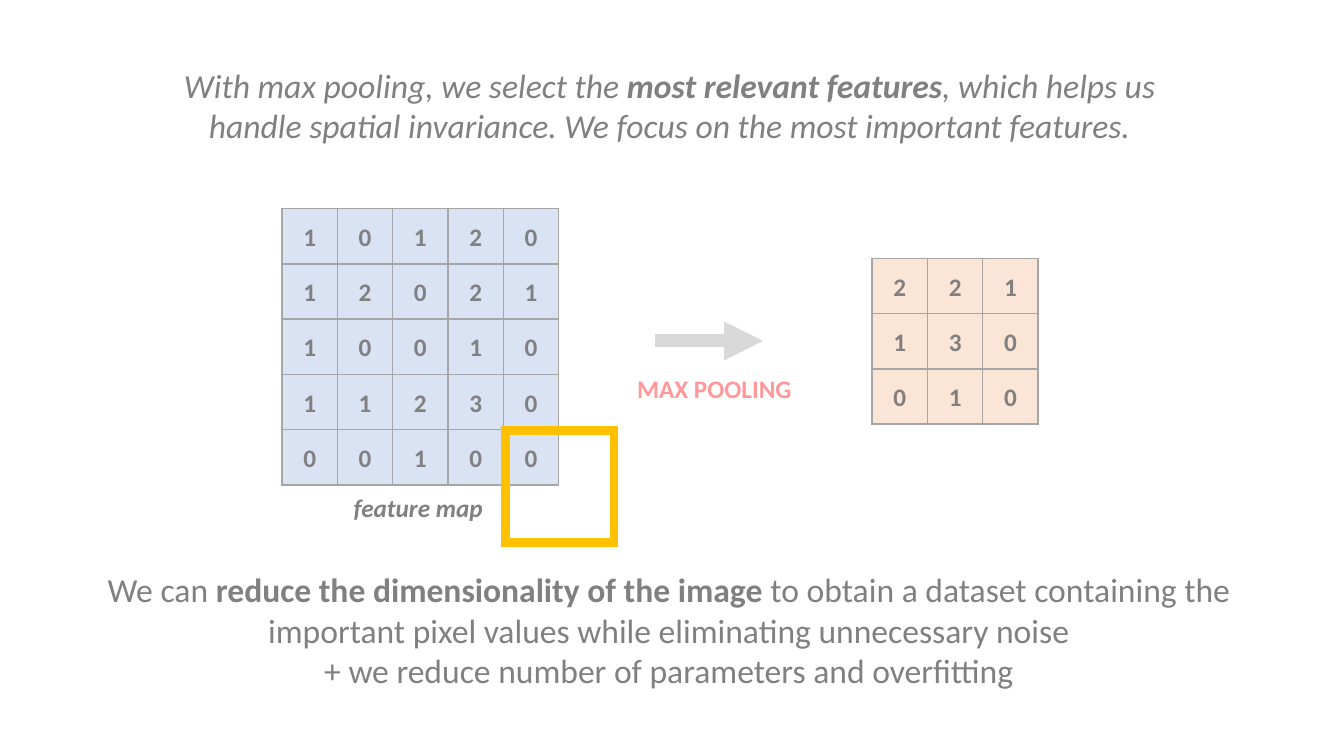
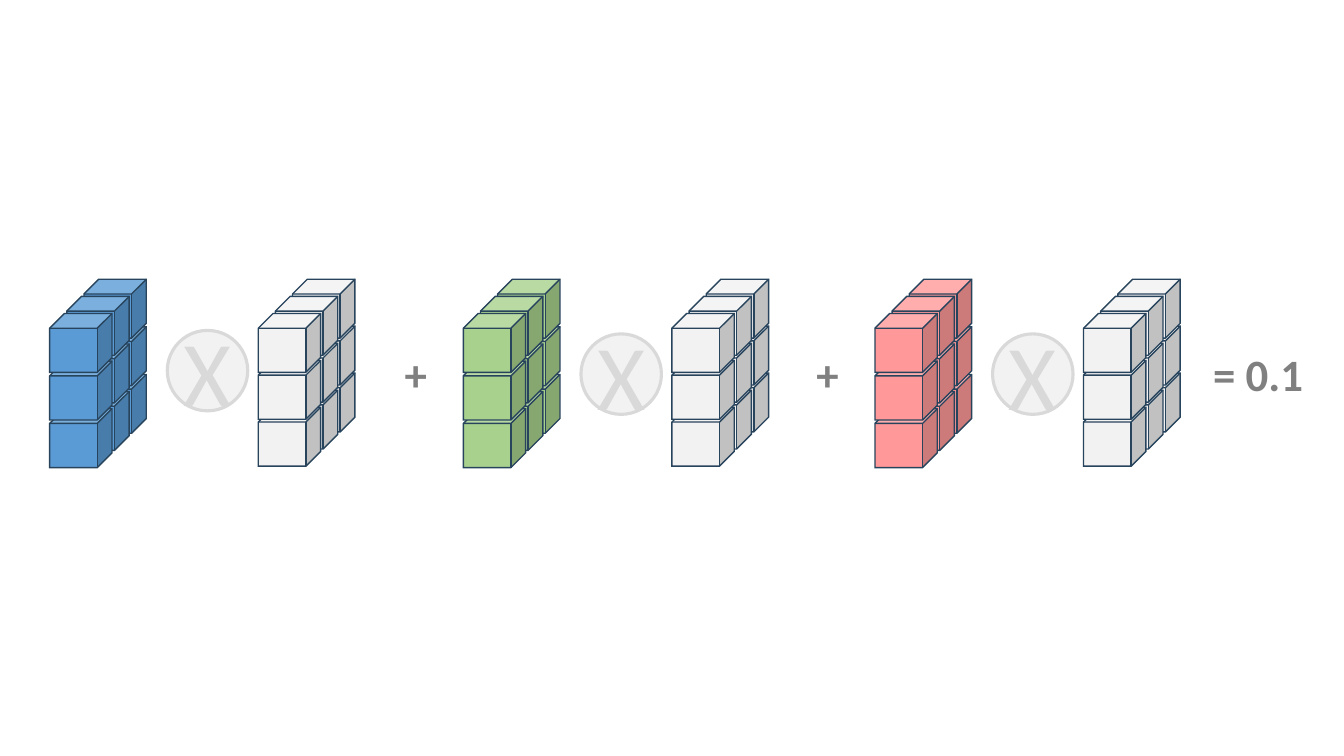
from lxml.etree import SubElement
from pptx import Presentation
from pptx.dml.color import RGBColor
from pptx.enum.shapes import MSO_CONNECTOR, MSO_SHAPE as Preset
from pptx.enum.text import MSO_ANCHOR, MSO_AUTO_SIZE, PP_ALIGN as Align
from pptx.oxml.ns import qn
from pptx.util import Pt

GRAY = "808080"
PALE = "F2F2F2"
SILVER = "D9D9D9"
ROSE = "FF9999"


def paint(color_format, hex_color):
    color_format.rgb = RGBColor.from_string(hex_color)


class Deck:
    font = "Calibri"
    cell = 39.5
    cube_width, cube_height, cube_step = 44.5, 42, 12.25
    circle = 57.5

    def __init__(self):
        self.presentation = Presentation()
        self.presentation.slide_width = Pt(960)
        self.presentation.slide_height = Pt(540)
        self.slide = None

    def new_slide(self):
        blank = self.presentation.slide_layouts[6]
        self.slide = self.presentation.slides.add_slide(blank)

    def add_runs(self, paragraph, runs, size, color, italic=False):
        """Add runs given as (words, bold) pairs."""
        for words, bold in runs:
            run = paragraph.add_run()
            run.text = words
            run.font.name = self.font
            run.font.size = Pt(size)
            run.font.bold = bold
            run.font.italic = italic
            paint(run.font.color, color)

    def text(self, box, lines, size, color=GRAY, italic=False, align=Align.LEFT):
        frame = self.slide.shapes.add_textbox(*map(Pt, box)).text_frame
        frame.word_wrap = False
        frame.auto_size = MSO_AUTO_SIZE.SHAPE_TO_FIT_TEXT
        for index, runs in enumerate(lines):
            paragraph = frame.add_paragraph() if index else frame.paragraphs[0]
            paragraph.alignment = align
            self.add_runs(paragraph, runs, size, color, italic)

    def shape(self, preset, box, fill, outline, weight=1):
        """Draw a preset with square corners; fill None leaves it open."""
        shape = self.slide.shapes.add_shape(preset, *map(Pt, box))
        shape.shadow.inherit = False
        if fill:
            shape.fill.solid()
            paint(shape.fill.fore_color, fill)
        else:
            shape.fill.background()
        paint(shape.line.color, outline)
        shape.line.width = Pt(weight)
        outline_xml = shape._element.spPr.find(qn("a:ln"))
        SubElement(outline_xml, qn("a:miter"), lim="800000")
        return shape

    def arrow(self, start, end, color, weight):
        arrow = self.slide.shapes.add_connector(
            MSO_CONNECTOR.STRAIGHT, *map(Pt, start + end))
        paint(arrow.line.color, color)
        arrow.line.width = Pt(weight)
        properties = arrow._element.spPr
        SubElement(properties.find(qn("a:ln")), qn("a:tailEnd"), type="triangle")
        SubElement(properties, qn("a:effectLst"))

    def matrix(self, left, top, rows, fill):
        """Draw one square per digit; each row is a string of digits."""
        for r, row in enumerate(rows):
            for c, digit in enumerate(row):
                box = (left + c * self.cell, top + r * self.cell,
                       self.cell, self.cell)
                frame = self.shape(Preset.RECTANGLE, box, fill, "A6A6A6").text_frame
                frame.vertical_anchor = MSO_ANCHOR.MIDDLE
                frame.paragraphs[0].alignment = Align.CENTER
                self.add_runs(frame.paragraphs[0], [(digit, True)], 18, GRAY)

    def cube_wall(self, left, top, fill, row_pitch):
        """Stack 3 by 3 cubes, bottom row first and back to front."""
        for row in (2, 1, 0):
            for depth in (2, 1, 0):
                box = (left + depth * self.cube_step,
                       top + row * row_pitch - depth * self.cube_step,
                       self.cube_width, self.cube_height)
                self.shape(Preset.CUBE, box, fill, "28445D")

    def times_sign(self, left, top):
        self.shape(Preset.OVAL, (left, top, self.circle, self.circle),
                   PALE, SILVER, 2.25)
        self.text((left + 4.5, top - 15, 49, 87), [[("X", False)]], 66, SILVER)

    def math_sign(self, left, width, words):
        self.text((left, 244, width, 46), [[(words, True)]], 32)


def max_pooling(deck):
    deck.new_slide()
    deck.matrix(201.5, 149, ["10120", "12021", "10010", "11230", "00100"], "DAE3F3")
    deck.matrix(623, 184.5, ["221", "130", "010"], "FBE5D6")
    deck.text((245.5, 348, 109.5, 29), [[("feature map", True)]], 18, italic=True)
    deck.text((448, 263, 126, 29), [[("MAX POOLING", True)]], 18, ROSE)
    deck.text((119, 42.5, 718.5, 65.5), [
        [("With max pooling, we select the ", False),
         ("most relevant features", True),
         (", which helps us", False)],
        [("handle spatial invariance. We focus on the most important features.",
          False)],
    ], 24, italic=True, align=Align.CENTER)
    deck.text((63.5, 403, 828.5, 94.5), [
        [("We can ", False),
         ("reduce the dimensionality of the image ", True),
         ("to obtain a dataset containing the", False)],
        [("important pixel values while eliminating unnecessary noise", False)],
        [("+ we reduce number of parameters and overfitting", False)],
    ], 24, align=Align.CENTER)
    deck.arrow((468, 243.5), (545, 243.5), SILVER, 9.25)
    deck.shape(Preset.RECTANGLE, (361, 307.5, 77.5, 80), None, "FFC000", 6)


def channel_sum(deck):
    deck.new_slide()
    front_top = 224
    channels = [(35.5, "5B9BD5", 236), (331, "A9D18E", 238.5), (625, ROSE, 238.5)]
    for index, (left, color, sign_top) in enumerate(channels):
        if index:
            deck.math_sign(left - 49, 31, "+")
        deck.cube_wall(left, front_top, color, 34)
        deck.times_sign(left + 84, sign_top)
        deck.cube_wall(left + 149, front_top, PALE, 33.5)
    deck.math_sign(859.5, 79, "= 0.1")


def main():
    deck = Deck()
    max_pooling(deck)
    channel_sum(deck)
    deck.presentation.save("out.pptx")


if __name__ == "__main__":
    main()
